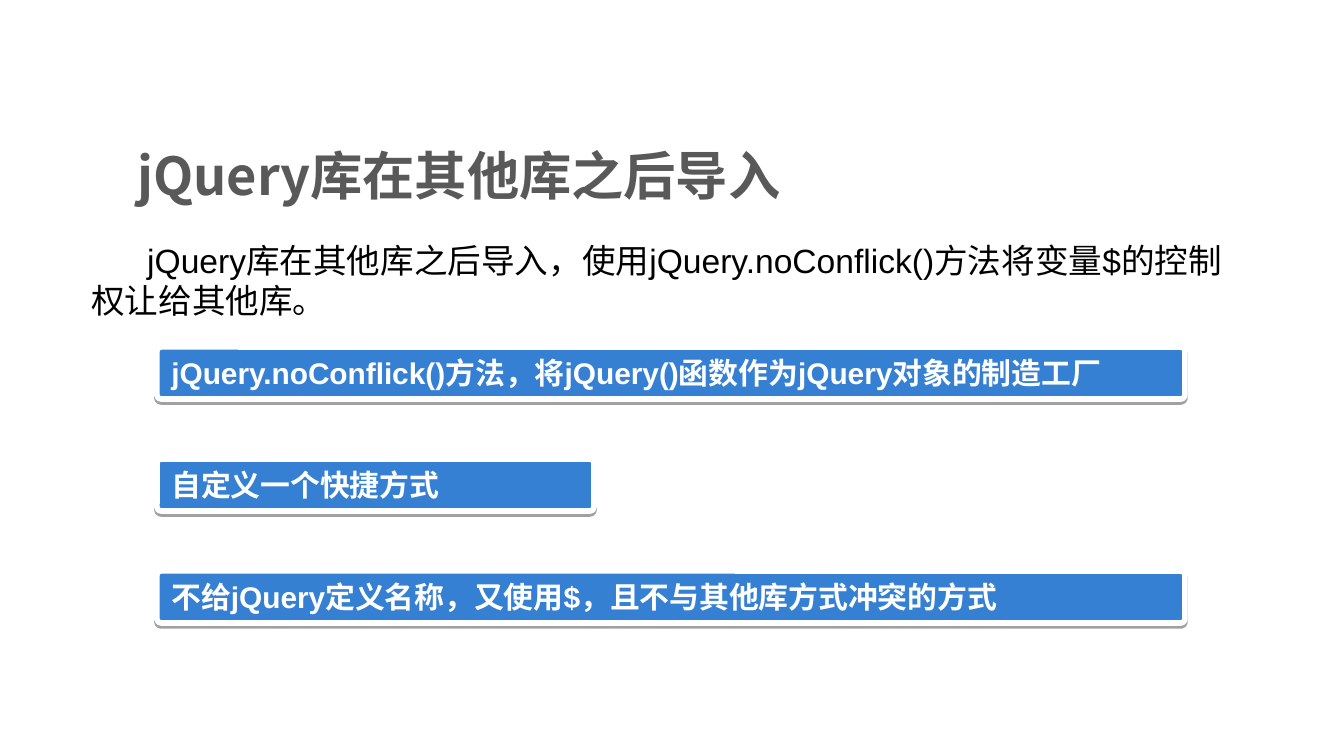
from lxml import etree
from pptx import Presentation
from pptx.dml.color import RGBColor
from pptx.enum import shapes, text
from pptx.oxml import ns
from pptx import util as u

# Content
TITLE = "jQuery库在其他库之后导入"
INTRO = "jQuery库在其他库之后导入，使用jQuery.noConflick()方法将变量$的控制权让给其他库。"
BARS = [  # wording, width in px
    ("jQuery.noConflick()方法，将jQuery()函数作为jQuery对象的制造工厂", 1028),
    ("自定义一个快捷方式", 437),
    ("不给jQuery定义名称，又使用$，且不与其他库方式冲突的方式", 1028),
]

# Style
BLACK = RGBColor(0x00, 0x00, 0x00)
WHITE = RGBColor(0xFF, 0xFF, 0xFF)
GREY = RGBColor(0x59, 0x59, 0x59)
BLUE = RGBColor(0x35, 0x80, 0xD3)
LATIN_FONT, CHINESE_FONT = "Arial", "Noto Sans CJK SC"

# Geometry in px
PX_PER_INCH = 134.4
SLIDE_SIZE = (1344, 756)
TITLE_BOX = (124, 132, 964, 85)
INTRO_BOX = (78, 233, 1165, 94)
INTRO_INDENT = 56
BAR_LEFT, BAR_TOP, BAR_HEIGHT, BAR_PITCH = 157, 347, 52, 112


def px(value):
    return u.Inches(value / PX_PER_INCH)


def write(shape, words, size, color, bold=False, font_name=LATIN_FONT,
          anchor=text.MSO_ANCHOR.MIDDLE):
    frame = shape.text_frame
    frame.text = words
    frame.word_wrap = True
    frame.auto_size = text.MSO_AUTO_SIZE.NONE
    frame.vertical_anchor = anchor
    paragraph = frame.paragraphs[0]
    paragraph.alignment = text.PP_ALIGN.LEFT
    font = paragraph.runs[0].font
    font.size, font.bold, font.name = u.Pt(size), bold, font_name
    font.color.rgb = color
    # East Asian typeface
    east_asian = etree.Element(ns.qn("a:ea"), typeface=CHINESE_FONT)
    font._element.find(ns.qn("a:latin")).addnext(east_asian)
    return paragraph


def add_shadow(shape):
    shape.shadow.inherit = False
    effects = shape._element.spPr.find(ns.qn("a:effectLst"))
    shadow = etree.SubElement(effects, ns.qn("a:outerShdw"), blurRad="0",
                              dist=str(u.Pt(1.6)), dir="5400000",
                              algn="t", rotWithShape="0")
    color = etree.SubElement(shadow, ns.qn("a:srgbClr"), val=str(BLACK))
    etree.SubElement(color, ns.qn("a:alpha"), val="37000")


presentation = Presentation()
presentation.slide_width, presentation.slide_height = map(px, SLIDE_SIZE)
slide = presentation.slides.add_slide(presentation.slide_layouts[5])

# Title
title = slide.shapes.title
title.left, title.top, title.width, title.height = map(px, TITLE_BOX)
write(title, TITLE, 28, GREY, bold=True, font_name=CHINESE_FONT)

# Introduction
intro = slide.shapes.add_textbox(*map(px, INTRO_BOX))
paragraph = write(intro, INTRO, 18, BLACK, anchor=text.MSO_ANCHOR.TOP)
paragraph._p.get_or_add_pPr().set("indent", str(px(INTRO_INDENT)))

# Blue bars
for row, (words, width) in enumerate(BARS):
    bar = slide.shapes.add_shape(
        shapes.MSO_SHAPE.ROUNDED_RECTANGLE, px(BAR_LEFT),
        px(BAR_TOP + row * BAR_PITCH), px(width), px(BAR_HEIGHT))
    bar.adjustments[0] = 0.08
    bar.fill.solid()
    bar.fill.fore_color.rgb = BLUE
    bar.line.color.rgb = WHITE
    bar.line.width = u.Pt(3)
    add_shadow(bar)
    write(bar, words, 16, WHITE, bold=True)

presentation.save("out.pptx")
